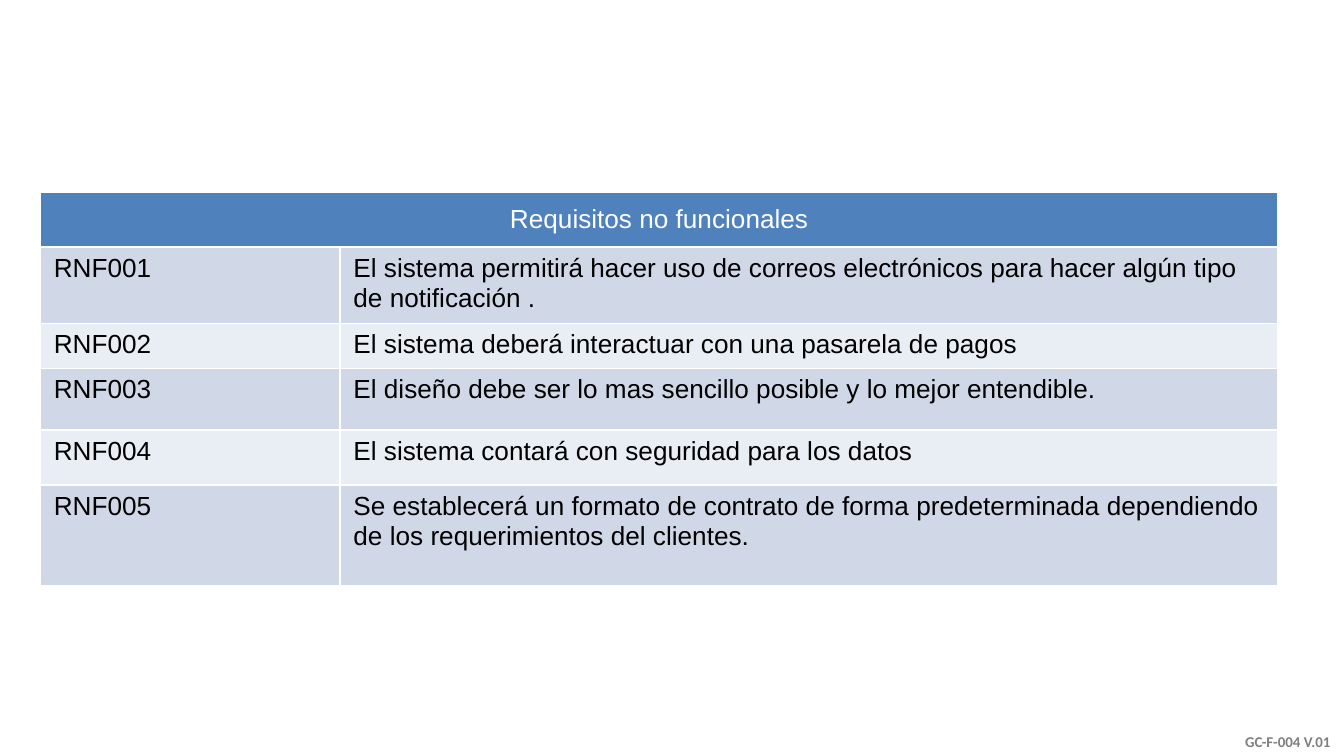
from pptx import Presentation
from pptx.util import Inches, Pt
from pptx.dml.color import RGBColor
from pptx.enum.text import PP_ALIGN as Align, MSO_ANCHOR as Anchor

WHITE = RGBColor(0xFF, 0xFF, 0xFF)
BLACK = RGBColor(0, 0, 0)
GRAY = RGBColor(0x7F, 0x7F, 0x7F)
BLUE = RGBColor(0x4F, 0x81, 0xBD)
BANDS = [RGBColor(0xD0, 0xD8, 0xE8), RGBColor(0xE9, 0xED, 0xF4)]


def write(frame, text, size=14, font="Arial", color=BLACK, bold=False, align=Align.LEFT):
    frame.word_wrap = True
    para = frame.paragraphs[0]
    para.alignment = align
    run = para.add_run()
    run.text = text
    run.font.size = Pt(size)
    run.font.name = font
    run.font.bold = bold
    run.font.color.rgb = color


deck = Presentation()
deck.slide_width = Inches(10)
deck.slide_height = Inches(10 * 9 / 16)
slide = deck.slides.add_slide(deck.slide_layouts[6])

code = slide.shapes.add_textbox(Inches(8.37), Inches(5.2), Inches(1.63), Inches(0.43))
code.text_frame.vertical_anchor = Anchor.BOTTOM
write(code.text_frame, "GC-F-004 V.01", size=8, font="Calibri", color=GRAY, bold=True, align=Align.RIGHT)

needs = [
    "El sistema permitirá hacer uso de correos electrónicos para hacer algún tipo de notificación .",
    "El sistema deberá interactuar con una pasarela de pagos",
    "El diseño debe ser lo mas sencillo posible y lo mejor entendible.",
    "El sistema contará con seguridad para los datos ",
    "Se establecerá un formato de contrato de forma predeterminada dependiendo de los requerimientos del clientes.",
]
widths = [2.23, 6.98]
heights = [0.41, 0.41, 0.33, 0.46, 0.41, 0.75]
table = slide.shapes.add_table(
    len(heights), len(widths), Inches(0.3), Inches(1.43), Inches(sum(widths)), Inches(sum(heights))
).table
for col, width in zip(table.columns, widths):
    col.width = Inches(width)
for row, height in zip(table.rows, heights):
    row.height = Inches(height)

head = table.cell(0, 0)
head.merge(table.cell(0, 1))
head.fill.solid()
head.fill.fore_color.rgb = BLUE
head.vertical_anchor = Anchor.MIDDLE
write(head.text_frame, "Requisitos no funcionales", color=WHITE, align=Align.CENTER)

for num, need in enumerate(needs, 1):
    for col, text in enumerate([f"RNF{num:03}", need]):
        cell = table.cell(num, col)
        cell.fill.solid()
        cell.fill.fore_color.rgb = BANDS[(num - 1) % 2]
        write(cell.text_frame, text)

deck.save("out.pptx")
